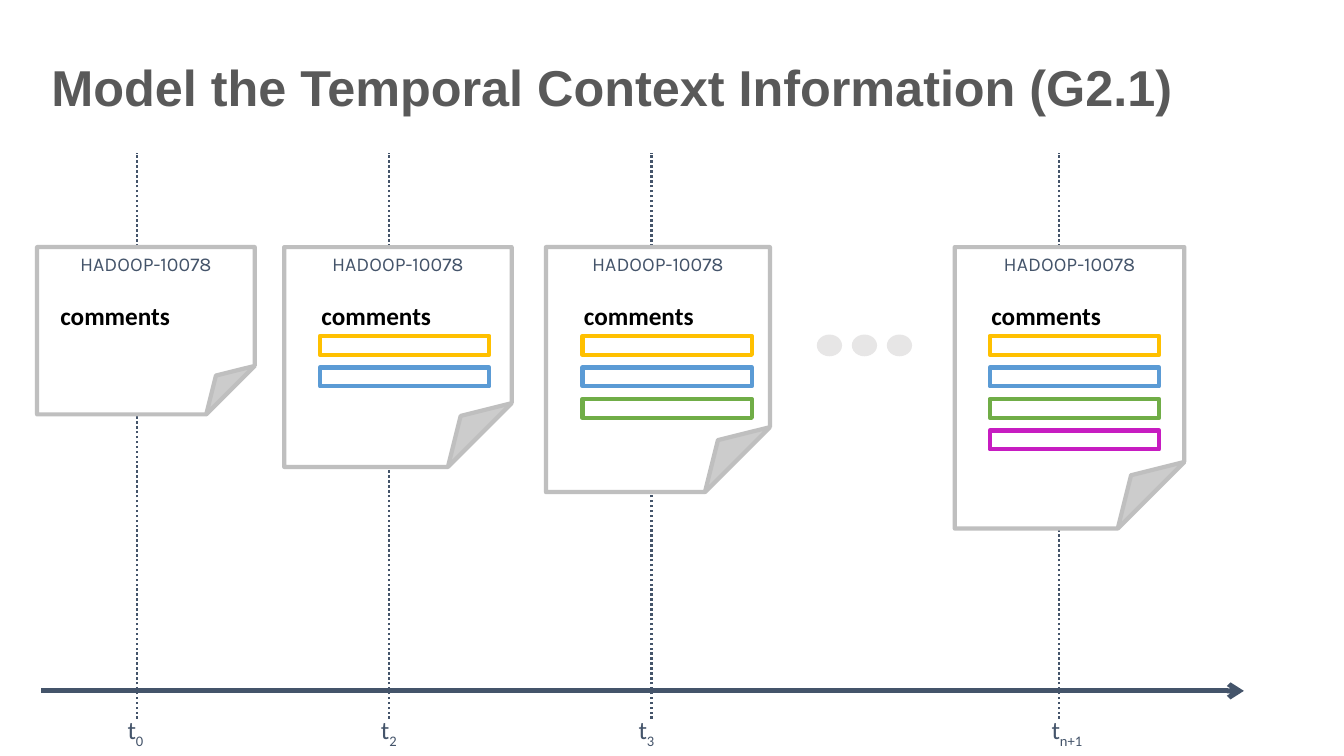
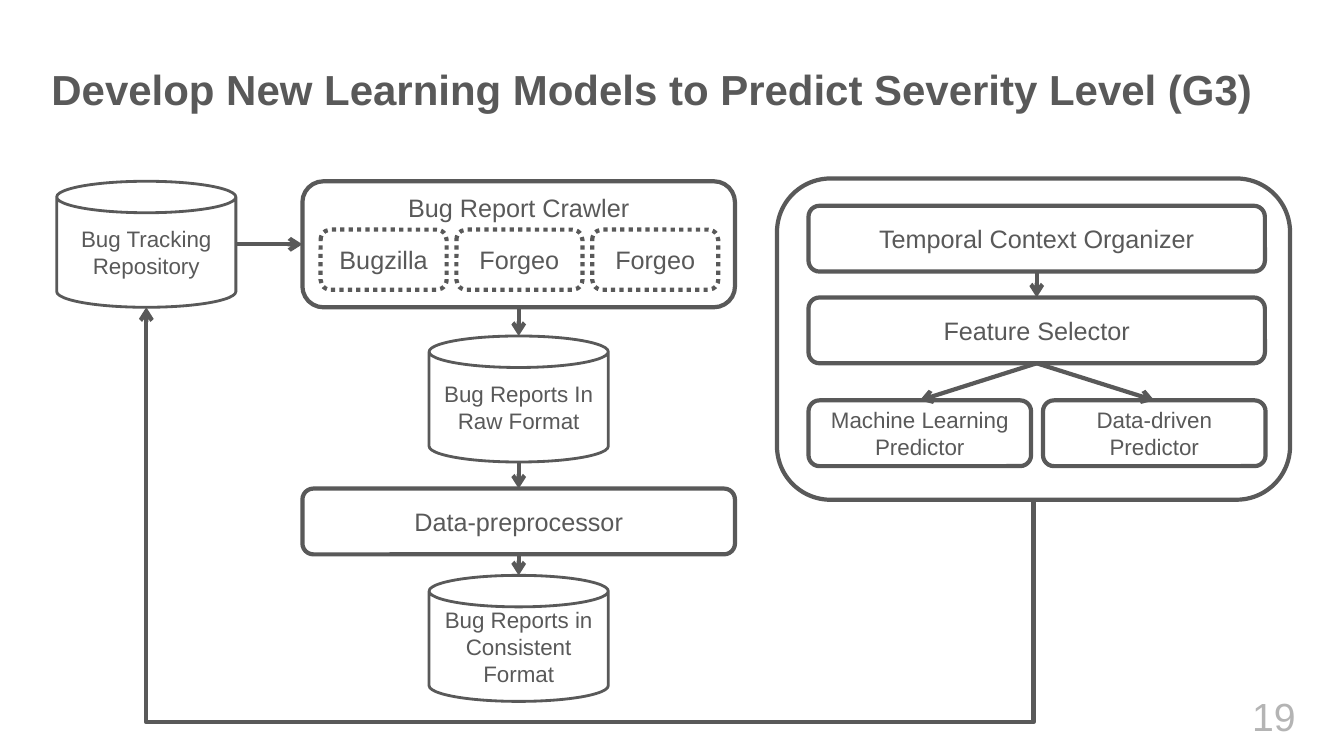
from dataclasses import dataclass

from pptx import Presentation
from pptx.dml.color import RGBColor
from pptx.enum.dml import MSO_LINE as Dash
from pptx.enum.shapes import MSO_CONNECTOR as Cxn, MSO_SHAPE as Shape
from pptx.enum.text import MSO_ANCHOR as Anchor, MSO_AUTO_SIZE as AutoSize, PP_ALIGN as Align
from pptx.oxml.ns import qn
from pptx.util import Pt
from lxml.etree import SubElement


@dataclass(frozen=True)
class Theme:
    white: str = "FFFFFF"
    black: str = "000000"
    gray: str = "595959"
    slate: str = "44546A"
    note_edge: str = "BFBFBF"
    dots: str = "E7E6E6"
    page_number: str = "B4B4B4"
    comments: tuple = ("FFC000", "5B9BD5", "70AD47", "C71CC1")
    sans: str = "Arial"
    label: str = "Calibri"
    issue: str = "Karla"
    issue_size: int = 14
    small: int = 16
    body: int = 18
    number_size: int = 28
    title_size: int = 36
    long_title_size: int = 30


T = Theme()
TOP, LEFT, BOTTOM, RIGHT = range(4)


def rgb(color):
    return RGBColor.from_string(color)


def set_font(font, size, color, name=T.sans, bold=False):
    formats = {"size": Pt(size), "name": name, "bold": bold}
    for key, value in formats.items():
        setattr(font, key, value)
    font.color.rgb = rgb(color)


def write(sp, text, size, color, name=T.sans, bold=False, align=Align.LEFT,
          anchor=Anchor.TOP, spacing=None):
    tf = sp.text_frame
    tf.text = text
    formats = {"word_wrap": True, "auto_size": AutoSize.NONE, "vertical_anchor": anchor}
    for key, value in formats.items():
        setattr(tf, key, value)
    for p in tf.paragraphs:
        p.alignment = align
        if spacing:
            p.line_spacing = spacing
        for r in p.runs:
            set_font(r.font, size, color, name, bold)


def add_slide(prs, title, size, top, width):
    s = prs.slides.add_slide(prs.slide_layouts[5])
    sp = s.shapes.title
    box = {"left": 29.5, "top": top, "width": width, "height": 73.5}
    for key, value in box.items():
        setattr(sp, key, Pt(value))
    write(sp, title, size, T.gray, bold=True, anchor=Anchor.MIDDLE, spacing=0.9)
    return s


def text_box(s, x, y, w, h, text, size, color, **formats):
    sp = s.shapes.add_textbox(Pt(x), Pt(y), Pt(w), Pt(h))
    write(sp, text, size, color, **formats)
    return sp


def set_line(line, color, width, dash=None):
    line.color.rgb = rgb(color)
    line.width = Pt(width)
    if dash:
        line.dash_style = dash


def set_guide(sp, name, share):
    """Set a named adjustment as a share of the shape's size."""
    guides = sp._element.spPr.find(qn("a:prstGeom")).find(qn("a:avLst"))
    SubElement(guides, qn("a:gd"), name=name, fmla=f"val {round(share * 100000)}")


def draw(s, kind, x, y, w, h, edge, width=3, fill=None, dash=None):
    sp = s.shapes.add_shape(kind, Pt(x), Pt(y), Pt(w), Pt(h))
    sp.shadow.inherit = False
    if fill:
        sp.fill.solid()
        sp.fill.fore_color.rgb = rgb(fill)
    else:
        sp.fill.background()
    set_line(sp.line, edge, width, dash)
    return sp


def connect(s, x1, y1, x2, y2, color, width=3, dash=None, arrow=True, kind=Cxn.STRAIGHT):
    cx = s.shapes.add_connector(kind, Pt(x1), Pt(y1), Pt(x2), Pt(y2))
    set_line(cx.line, color, width, dash)
    if arrow:
        SubElement(cx.line._get_or_add_ln(), qn("a:tailEnd"), type="arrow")
    SubElement(cx._element.spPr, qn("a:effectLst"))
    return cx


def side_middle(sp, side):
    """Return the middle of a shape's side, in points."""
    dx, dy = {TOP: (0.5, 0), LEFT: (0, 0.5), BOTTOM: (0.5, 1), RIGHT: (1, 0.5)}[side]
    return sp.left.pt + dx * sp.width.pt, sp.top.pt + dy * sp.height.pt


def arrow_between(s, source, source_side, target, target_side):
    """Draw an arrow and join it to boxes; cylinders number their sites differently."""
    cx = connect(s, *side_middle(source, source_side), *side_middle(target, target_side), T.gray)
    if source.auto_shape_type != Shape.CAN:
        cx.begin_connect(source, source_side)
    if target.auto_shape_type != Shape.CAN:
        cx.end_connect(target, target_side)


def feedback_arrow(s, source, target, low):
    """Draw an elbow from one bottom side down to low and up to another bottom side."""
    x1, y1 = side_middle(source, BOTTOM)
    x2, y2 = side_middle(target, BOTTOM)
    w, h = y1 - y2, x1 - x2
    left, top = (x1 + x2 - w) / 2, (y1 + y2 - h) / 2
    cx = connect(s, left, top, left + w, top + h, T.gray, kind=Cxn.ELBOW)
    xfrm = cx._element.spPr.find(qn("a:xfrm"))
    xfrm.set("rot", "5400000")
    xfrm.set("flipH", "1")
    set_guide(cx, "adj1", (y1 - low) / w)


def issue_note(s, x, w, h, comments_x, count):
    sp = draw(s, Shape.FOLDED_CORNER, x, 176.5, w, h, T.note_edge, fill=T.white)
    set_guide(sp, "adj", 0.29)
    write(sp, "HADOOP-10078", T.issue_size, T.slate, T.issue, align=Align.CENTER)
    text_box(s, comments_x, 211, 98.5, 50, "comments", T.body, T.black,
             name=T.label, bold=True)
    for i, color in enumerate(T.comments[:count]):
        draw(s, Shape.RECTANGLE, comments_x + 6, 240 + 22.5 * i, 121, 13.5, color)


def time_label(s, x, subscript):
    sp = text_box(s, x, 507, 48, 31.5, "t", T.body, T.slate, name=T.label)
    r = sp.text_frame.paragraphs[0].add_run()
    r.text = subscript
    set_font(r.font, T.body, T.slate, T.label)
    r.font._element.set("baseline", "-25000")


def box(s, text, x, y, w, h=47, size=T.body, anchor=Anchor.MIDDLE, dash=None):
    sp = draw(s, Shape.ROUNDED_RECTANGLE, x, y, w, h, T.gray, fill=T.white, dash=dash)
    if text:
        write(sp, text, size, T.gray, align=Align.CENTER, anchor=anchor)
    return sp


def store(s, text, x, y):
    sp = draw(s, Shape.CAN, x, y, 128, 90, T.gray, width=2, fill=T.white)
    write(sp, text, T.small, T.gray, align=Align.CENTER, anchor=Anchor.MIDDLE)
    return sp


def temporal_context(prs):
    s = add_slide(prs, "Model the Temporal Context Information (G2.1)",
                  T.title_size, 27.5, 898)
    # subscript, label x, time x, note x, width, height, comments x, comment count
    snapshots = [
        ("0", 84, 98, 26.5, 155.5, 119.5, 36, 0),
        ("2", 265, 278, 203, 162.5, 157, 222.5, 2),
        ("3", 449, 465.5, 390, 160, 175, 410, 3),
        ("n+1", 744, 756.5, 682, 164, 201, 701, 4),
    ]
    for _, _, time_x, *_ in snapshots:
        connect(s, time_x, 513.5, time_x, 109, T.slate, 1.75, Dash.ROUND_DOT, arrow=False)
    connect(s, 29.5, 493.5, 888.5, 493.5, T.slate, 3.5)
    for subscript, label_x, _, *note in snapshots:
        issue_note(s, *note)
        time_label(s, label_x, subscript)
    for i in range(3):
        draw(s, Shape.OVAL, 584.5 + 25 * i, 240, 16, 13.5, T.dots, width=2, fill=T.dots)


def learning_models(prs):
    s = add_slide(prs, "Develop New Learning Models to Predict Severity Level (G3)",
                  T.long_title_size, 29, 919.5)

    repository = store(s, "Bug Tracking Repository", 40.5, 129.5)
    crawler = box(s, "Bug Report Crawler", 216, 129.5, 309, 90, anchor=Anchor.TOP)
    for i, site in enumerate(("Bugzilla", "Forgeo", "Forgeo")):
        box(s, site, 229 + 97 * i, 164, 90, 43, dash=Dash.ROUND_DOT)
    raw = store(s, "Bug Reports In Raw Format", 306.5, 240)
    preprocessor = box(s, "Data-preprocessor", 216, 349, 309)
    consistent = store(s, "Bug Reports in Consistent Format", 306.5, 411)

    panel = box(s, "", 555, 127.5, 366.5, 229.5)
    organizer = box(s, "Temporal Context Organizer", 577.5, 147, 326)
    selector = box(s, "Feature Selector", 577.5, 212.5, 326)
    predictors = [box(s, text, x, 286, 159, size=T.small) for text, x in (
        ("Machine Learning\nPredictor", 577.5), ("Data-driven\nPredictor", 745))]

    arrow_between(s, repository, RIGHT, crawler, LEFT)
    flows = [(crawler, raw), (raw, preprocessor), (preprocessor, consistent),
             (organizer, selector), *((selector, p) for p in predictors)]
    for source, target in flows:
        arrow_between(s, source, BOTTOM, target, TOP)
    feedback_arrow(s, panel, repository, 516)

    text_box(s, 857.5, 497, 75, 29, "19", T.number_size, T.page_number,
             align=Align.RIGHT, anchor=Anchor.MIDDLE)


def main():
    prs = Presentation()
    prs.slide_width, prs.slide_height = Pt(960), Pt(540)
    temporal_context(prs)
    learning_models(prs)
    prs.save("out.pptx")


if __name__ == "__main__":
    main()
